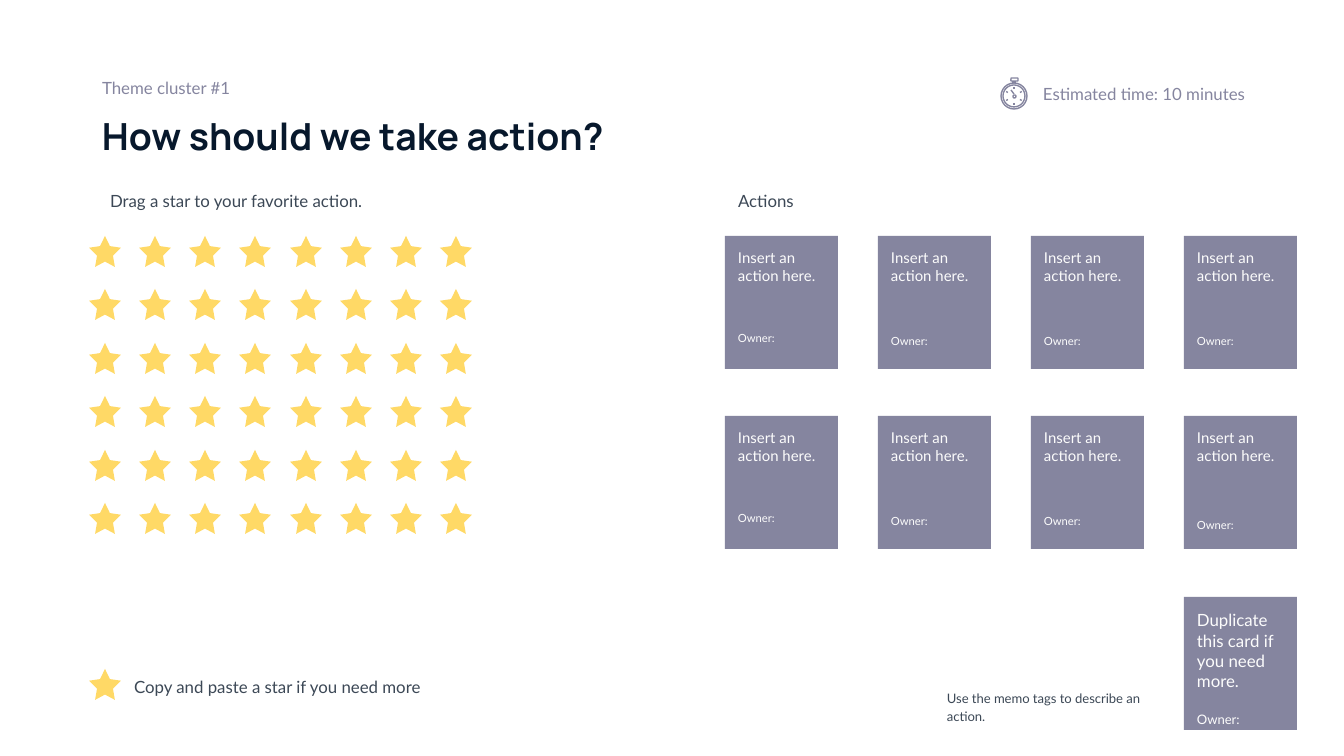
import math
from dataclasses import dataclass

from lxml import etree
from pptx import Presentation
from pptx import util as u
from pptx.dml.color import RGBColor
from pptx.enum import shapes, text
from pptx.oxml import ns


@dataclass(frozen=True)
class Theme:
    """Colours, fonts and type sizes of the slide."""
    ink: str = "07182C"
    body: str = "3C4856"
    accent: str = "85859F"
    paper: str = "FCFCFC"
    star: str = "FFD966"
    head_font: str = "Manrope"
    body_font: str = "Lato"
    title: int = 20
    label: int = 9
    action: int = 8
    note: int = 7
    owner: int = 6
    stroke: float = 0.75


@dataclass(frozen=True)
class Box:
    """A rectangle in px."""
    x: int
    y: int
    w: int
    h: int

    def inner(self, x, y, w, h):
        """Return a box placed relative to this one."""
        return Box(self.x + x, self.y + y, w, h)


THEME = Theme()
PX_PER_INCH = 134.4
INSET = 13


def px(length):
    """Turn px into EMU."""
    return u.Inches(length / PX_PER_INCH)


def place(box):
    """Return the position and size of a box in EMU."""
    return px(box.x), px(box.y), px(box.w), px(box.h)


def spread(length, count):
    """Return evenly spaced offsets from zero to length."""
    return [round(length * step / (count - 1)) for step in range(count)]


def write(para, words, size=THEME.label, color=THEME.body, font=THEME.body_font,
          bold=False, before=0, after=0, leading=1.0):
    """Put formatted text into a paragraph."""
    para.alignment = text.PP_ALIGN.LEFT
    para.space_before, para.space_after = u.Pt(before), u.Pt(after)
    para.line_spacing = leading
    span = para.add_run()
    span.text = words
    span.font.size, span.font.name, span.font.bold = u.Pt(size), font, bold
    span.font.color.rgb = RGBColor.from_string(color)


def set_frame(frame, left=INSET, anchor=text.MSO_ANCHOR.TOP):
    """Set wrapping, margins and anchor, and return the first paragraph."""
    frame.word_wrap = True
    frame.margin_left = px(left)
    frame.margin_top = frame.margin_right = frame.margin_bottom = px(INSET)
    frame.vertical_anchor = anchor
    return frame.paragraphs[0]


def add_text(parent, box, words, left=INSET, anchor=text.MSO_ANCHOR.TOP, **style):
    """Add a text box with one paragraph."""
    frame = parent.add_textbox(*place(box)).text_frame
    write(set_frame(frame, left, anchor), words, **style)


def add_label(page, box, words, **style):
    """Add a vertically centred instruction."""
    add_text(page.shapes, box, words, anchor=text.MSO_ANCHOR.MIDDLE,
             before=20, after=6, leading=1.15, **style)


def add_filled(page, kind, box, color):
    """Add a flat shape without an outline."""
    shape = page.shapes.add_shape(kind, *place(box))
    shape.shadow.inherit = False
    shape.fill.solid()
    shape.fill.fore_color.rgb = RGBColor.from_string(color)
    shape.line.fill.background()
    return shape


def add_star(page, box):
    """Add one voting star."""
    star = add_filled(page, shapes.MSO_SHAPE.STAR_5_POINT, box, THEME.star)
    star.adjustments[0] = 0.25


def add_card(page, box, words, gap, size=THEME.action, owner=THEME.owner):
    """Add an action card with an owner line."""
    frame = add_filled(page, shapes.MSO_SHAPE.RECTANGLE, box, THEME.accent).text_frame
    write(set_frame(frame), words, size=size, color=THEME.paper)
    write(frame.add_paragraph(), "Owner:", size=owner, color=THEME.paper, before=gap)


def set_stroke(line):
    """Give an outline the icon stroke."""
    line.color.rgb = RGBColor.from_string(THEME.accent)
    line.width = u.Pt(THEME.stroke)


def add_outline(parent, kind, box):
    """Add an unfilled icon part."""
    shape = parent.add_shape(kind, *place(box))
    shape.shadow.inherit = False
    shape.fill.background()
    set_stroke(shape.line)


def add_stroke(parent, start, end):
    """Add a straight icon stroke."""
    line = parent.add_connector(shapes.MSO_CONNECTOR.STRAIGHT, *map(px, start + end))
    set_stroke(line.line)
    etree.SubElement(line._element.spPr, ns.qn("a:effectLst"))


def add_stopwatch(parent, box):
    """Draw a stopwatch in the box."""
    cx, cy = box.x + 13, box.y + 18
    for radius in (11, 13):
        dial = Box(cx - radius, cy - radius, 2 * radius, 2 * radius)
        add_outline(parent, shapes.MSO_SHAPE.OVAL, dial)
    add_outline(parent, shapes.MSO_SHAPE.ROUNDED_RECTANGLE, box.inner(10, 0, 7, 3))
    add_outline(parent, shapes.MSO_SHAPE.OVAL, box.inner(12, 17, 3, 3))
    for x in (cx - 1, cx + 1):
        add_stroke(parent, (x, box.y + 3), (x, box.y + 5))
    add_stroke(parent, (cx, cy - 2), (cx - 3, cy - 6))
    for degrees in range(30, 390, 60):
        angle = math.radians(degrees)
        start, end = ((cx + r * math.cos(angle), cy + r * math.sin(angle)) for r in (7, 9))
        add_stroke(parent, start, end)


def add_header(page, box):
    """Add the theme name and the question."""
    add_text(page.shapes, box.inner(0, 32, box.w, 63), "How should we take action?",
             size=THEME.title, color=THEME.ink, font=THEME.head_font, bold=True)
    add_text(page.shapes, box.inner(0, 0, 288, 36), "Theme cluster #1", color=THEME.accent)


def add_timer(page, box):
    """Add the time estimate with its stopwatch."""
    group = page.shapes.add_group_shape().shapes
    add_text(group, box, "Estimated time: 10 minutes", left=60,
             anchor=text.MSO_ANCHOR.MIDDLE, color=THEME.accent)
    add_stopwatch(group, box.inner(18, 7, 27, 32))


def add_votes(page, box):
    """Add the star grid, its instruction and the spare star."""
    add_label(page, box.inner(8, 0, 370, 36), "Drag a star to your favorite action.")
    for y in spread(267, 6):
        for x in spread(351, 8):
            add_star(page, box.inner(x, 55 + y, 32, 31))
    add_star(page, box.inner(0, 488, 32, 31))
    add_label(page, box.inner(32, 486, 370, 36), "Copy and paste a star if you need more")


def add_actions(page, box):
    """Add the action cards, the spare card and their labels."""
    add_label(page, box.inner(0, 0, 370, 36), "Actions")
    gaps = ((25, 26.4, 26.4, 26.4), (25, 26.4, 26.4, 28.8))
    for row, row_gaps in enumerate(gaps):
        for column, gap in enumerate(row_gaps):
            card = box.inner(153 * column, 55 + 180 * row, 113, 133)
            add_card(page, card, "Insert an action here.", gap)
    add_label(page, box.inner(209, 507, 245, 36),
              "Use the memo tags to describe an action.", size=THEME.note)
    add_card(page, box.inner(459, 416, 113, 133), "Duplicate this card if you need more.",
             10.8, size=THEME.label, owner=THEME.note)


def main():
    """Build and save the deck."""
    deck = Presentation()
    deck.slide_width, deck.slide_height = px(1344), px(756)
    page = deck.slides.add_slide(deck.slide_layouts[6])
    add_header(page, Box(89, 68, 872, 95))
    add_timer(page, Box(983, 71, 314, 46))
    add_votes(page, Box(89, 181, 402, 522))
    add_actions(page, Box(725, 181, 572, 549))
    deck.save("out.pptx")


if __name__ == "__main__":
    main()
